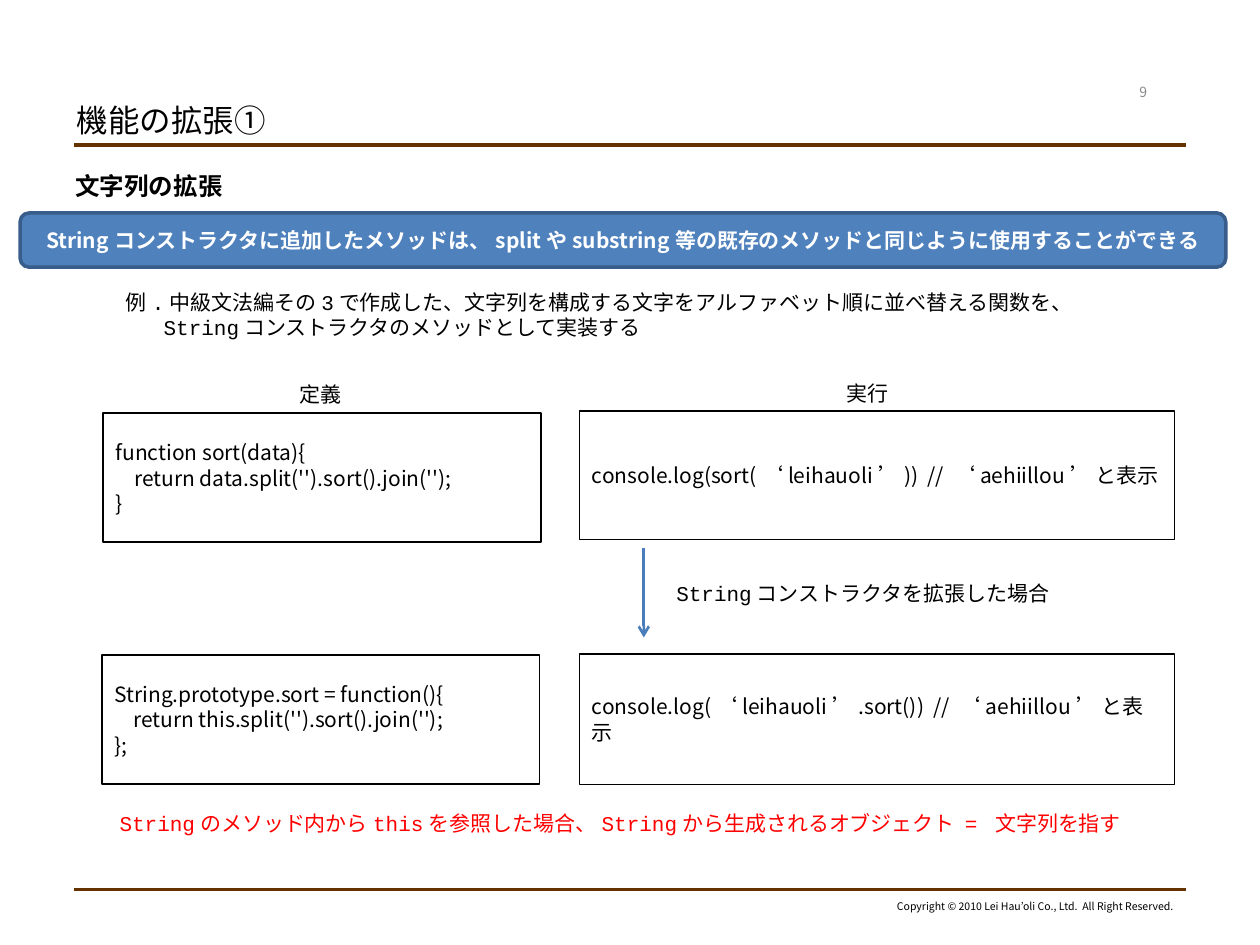
from lxml.etree import SubElement
from pptx import Presentation
from pptx.dml.color import RGBColor
from pptx.enum.shapes import MSO_CONNECTOR as CONN, MSO_SHAPE as SHAPE
from pptx.enum.text import MSO_ANCHOR as ANCHOR, PP_ALIGN as ALIGN
from pptx.oxml.ns import qn
from pptx.util import Pt

COLORS = {
    "black": "000000", "white": "FFFFFF", "red": "FF0000", "gray": "898989",
    "brown": "663300", "blue": "4F81BD", "navy": "385D8A", "arrow": "4A7EBB",
}
SANS, MONO = "Noto Sans CJK JP", "Courier New"


def rgb(name):
    return RGBColor.from_string(COLORS[name])


def write(sp, lines, size=12, font=SANS, color="black", bold=False,
          align=ALIGN.LEFT, anchor=ANCHOR.TOP, wrap=True):
    """Fill a shape with one paragraph per line, all in the same format."""
    tf = sp.text_frame
    tf.word_wrap = wrap
    tf.vertical_anchor = anchor
    for i, line in enumerate(lines):
        p = tf.add_paragraph() if i else tf.paragraphs[0]
        p.alignment = align
        r = p.add_run()
        r.text = line
        r.font.size = Pt(size)
        r.font.bold = bold
        r.font.color.rgb = rgb(color)
        r.font.name = font
        SubElement(r.font._element, qn("a:ea")).set("typeface", SANS)


prs = Presentation()
prs.slide_width, prs.slide_height = Pt(720), Pt(540)
s = prs.slides.add_slide(prs.slide_layouts[5])

# Title
title = s.shapes.title
title.left, title.top, title.width, title.height = Pt(36.7), Pt(54.7), Pt(409), Pt(28)
write(title, ["機能の拡張①"], size=18, anchor=ANCHOR.MIDDLE)

# Rules and the downward arrow
for x1, y1, x2, y2, color, weight in [
    (42.5, 82.8, 677.5, 82.8, "brown", 2.25),
    (42.5, 508.3, 677.5, 508.3, "brown", 2.25),
    (367.9, 313.2, 367.9, 364.3, "arrow", 1.5),
]:
    line = s.shapes.add_connector(CONN.STRAIGHT, Pt(x1), Pt(y1), Pt(x2), Pt(y2))
    line.line.color.rgb = rgb(color)
    line.line.width = Pt(weight)
    if color == "arrow":
        SubElement(line.line._get_or_add_ln(), qn("a:tailEnd")).set("type", "arrow")
    SubElement(line._element.spPr, qn("a:effectLst"))

# Key message
banner = s.shapes.add_shape(SHAPE.ROUNDED_RECTANGLE, Pt(11.5), Pt(121.7), Pt(689), Pt(31))
banner.shadow.inherit = False
banner.fill.solid()
banner.fill.fore_color.rgb = rgb("blue")
banner.line.color.rgb = rgb("navy")
banner.line.width = Pt(2)
write(banner, ["Stringコンストラクタに追加したメソッドは、splitやsubstring等の既存のメソッドと同じように使用することができる"],
      color="white", bold=True, align=ALIGN.CENTER, anchor=ANCHOR.MIDDLE)

# Code boxes: definition on the left, execution on the right
for x, y, w, h, code in [
    (59, 236.2, 250, 73.6, ["function sort(data){",
                            "    return data.split('').sort().join('');",
                            "}"]),
    (331.2, 234.7, 340, 73.6, ["console.log(sort(‘leihauoli’))  // ‘aehiillou’ と表示"]),
    (58.4, 374.4, 250, 73.6, ["String.prototype.sort = function(){",
                              "    return this.split('').sort().join('');",
                              "};"]),
    (331.2, 373.7, 340, 74.6, ["console.log(‘leihauoli’.sort())  // ‘aehiillou’ と表示"]),
]:
    box = s.shapes.add_shape(SHAPE.RECTANGLE, Pt(x), Pt(y), Pt(w), Pt(h))
    box.shadow.inherit = False
    box.fill.background()
    box.line.color.rgb = rgb("black")
    box.line.width = Pt(1)
    write(box, code, anchor=ANCHOR.MIDDLE)

# Plain texts
label = dict(font=MONO, wrap=False)
for x, y, w, h, lines, style in [
    (36, 94.3, 648, 30, ["文字列の拡張"], dict(size=14, bold=True)),
    (632, 43.9, 42.5, 17.3, ["9"],
     dict(size=8, color="gray", align=ALIGN.CENTER, anchor=ANCHOR.MIDDLE)),
    (164.2, 214.6, 38.2, 21.8, ["定義"], label),
    (476.6, 213.8, 38.2, 21.8, ["実行"], label),
    (379.4, 328.3, 228.2, 21.8, ["Stringコンストラクタを拡張した場合"], label),
    (61.2, 459.4, 586.8, 21.8,
     ["Stringのメソッド内からthisを参照した場合、Stringから生成されるオブジェクト = 文字列を指す"],
     dict(label, color="red")),
    (503.3, 510.5, 174.2, 14.4,
     ["Copyright © 2010 Lei Hau’oli Co., Ltd.  All Right Reserved."],
     dict(size=6, align=ALIGN.RIGHT, wrap=False)),
]:
    write(s.shapes.add_textbox(Pt(x), Pt(y), Pt(w), Pt(h)), lines, **style)

# Example, whose second line is indented
example = s.shapes.add_textbox(Pt(64.8), Pt(162), Pt(555.8), Pt(36))
write(example, ["例.中級文法編その3で作成した、文字列を構成する文字をアルファベット順に並べ替える関数を、",
                "Stringコンストラクタのメソッドとして実装する"], **label)
pPr = example.text_frame.paragraphs[1]._p.get_or_add_pPr()
pPr.set("marL", str(Pt(21.6)))
pPr.set("indent", "0")

prs.save("out.pptx")
